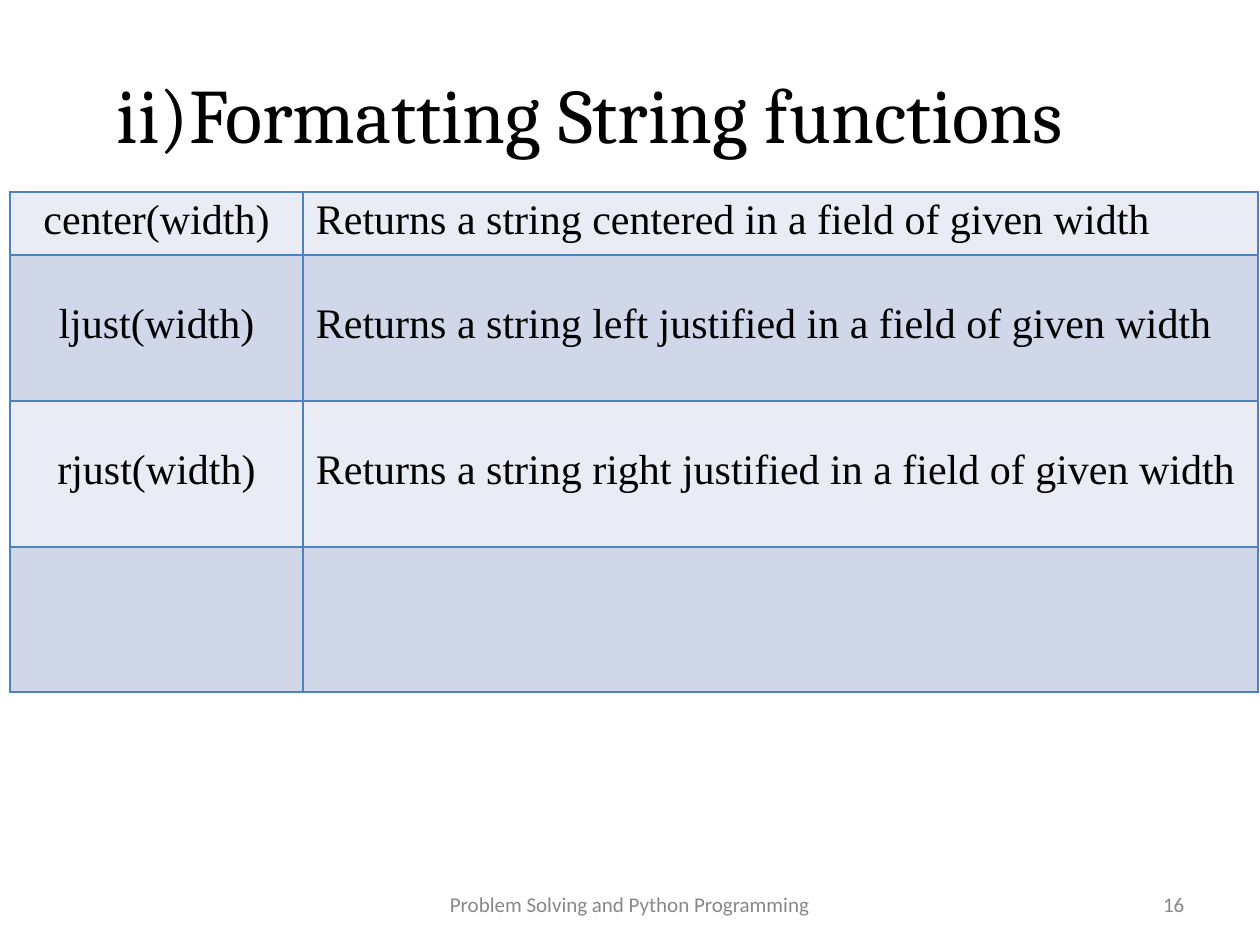
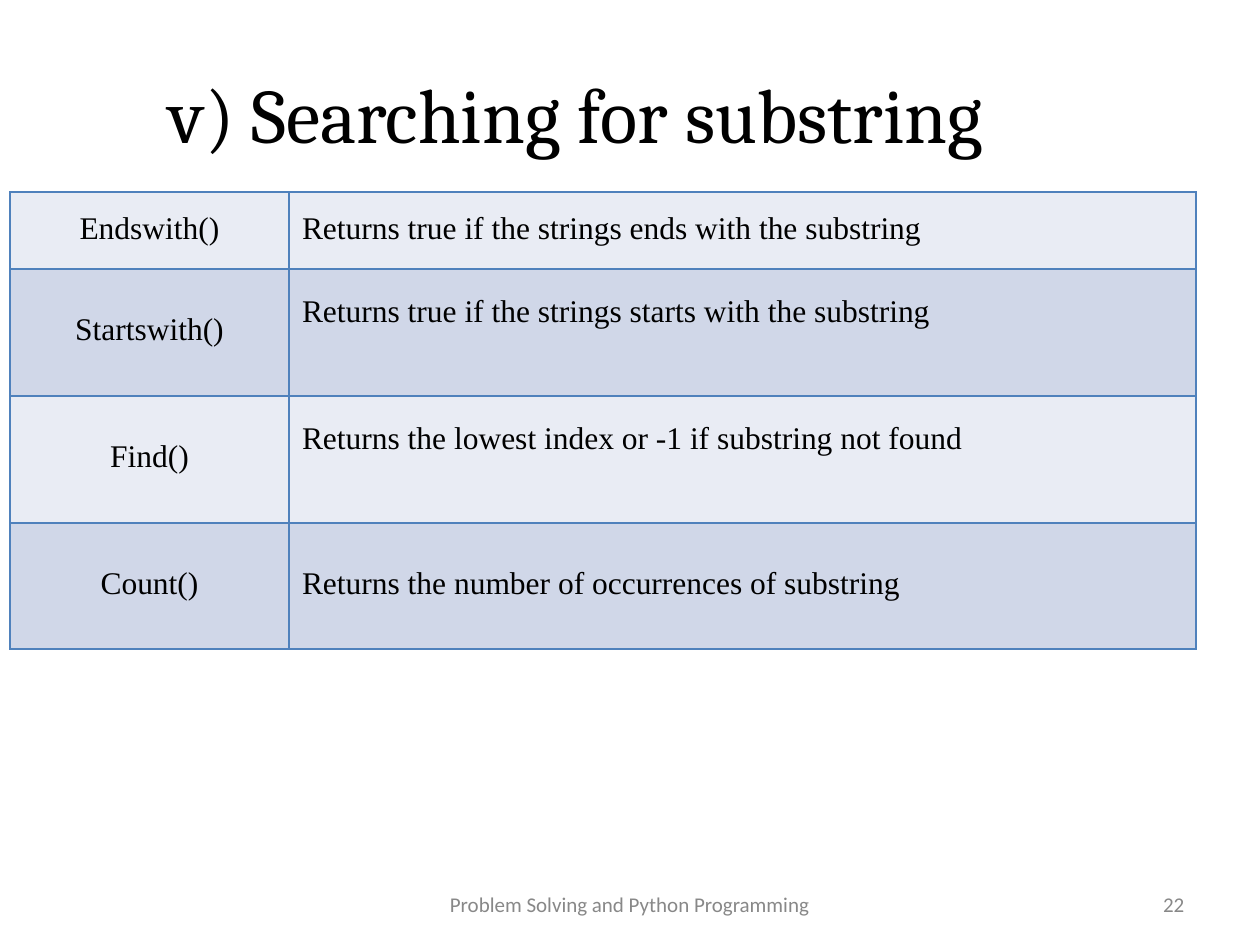
from lxml.etree import SubElement
from pptx import Presentation
from pptx.dml.color import RGBColor
from pptx.enum.text import MSO_ANCHOR, PP_ALIGN
from pptx.oxml.ns import qn
from pptx.util import Emu, Pt

PX_PER_INCH = 126
SLIDE_SIZE = (1260, 945)
BLACK, GREY, BORDER = "000000", "888888", "4F81BC"
BANDS = ("E9ECF4", "D0D7E8")
TITLE_FONT, BODY_FONT, FOOTER_FONT = "Cambria", "Times New Roman", "Calibri"
COURSE = "Problem Solving and Python Programming"
TABLE_ORIGIN = (10, 192)
DESCRIPTION_INDENT = 13

FORMATTING = {
    "title": "ii)Formatting String functions",
    "title_box": (116, 66, 1030, 96),
    "number": "16",
    "widths": (293, 955),
    "heights": (63, 146, 146, 145),
    "size": 24,
    "rows": [
        ("center(width)", 5, "Returns a string centered in a field of given width", 5),
        ("ljust(width)", 46, "Returns a string left justified in a field of given width", 46),
        ("rjust(width)", 46, "Returns a string right justified in a field of given width", 46),
        ("", 0, "", 0),
    ],
}
SEARCHING = {
    "title": "v) Searching for substring",
    "title_box": (168, 66, 922, 96),
    "number": "22",
    "widths": (279, 907),
    "heights": (77, 127, 127, 126),
    "size": 18,
    "rows": [
        ("Endswith()", 19, "Returns true if the strings ends with the substring", 19),
        ("Startswith()", 43, "Returns true if the strings starts with the substring", 25),
        ("Find()", 43, "Returns the lowest index or -1 if substring not found", 25),
        ("Count()", 43, "Returns the number of occurrences of substring", 43),
    ],
}


def px(length):
    """Turn pixels into EMU."""
    return Emu(round(length * 914400 / PX_PER_INCH))


def color(hex_string):
    """Turn a hex string into a colour."""
    return RGBColor.from_string(hex_string)


def write(frame, text, font, size, ink, margins):
    """Put one styled paragraph in a text frame and return it."""
    frame.margin_left, frame.margin_top = map(px, margins)
    frame.margin_right = frame.margin_bottom = 0
    frame.word_wrap = True
    frame.vertical_anchor = MSO_ANCHOR.TOP
    return style(frame, text, font, size, ink)


def style(frame, text, font, size, ink):
    """Set the text of a frame and format its runs."""
    frame.text = text
    paragraph = frame.paragraphs[0]
    for run in paragraph.runs:
        run.font.name = font
        run.font.size = Pt(size)
        run.font.color.rgb = color(ink)
    return paragraph


def add_label(slide, box, text, font, size, ink, margins):
    """Add a text box and return its paragraph."""
    frame = slide.shapes.add_textbox(*map(px, box)).text_frame
    return write(frame, text, font, size, ink, margins)


def add_footer(slide, number):
    """Add the course name and the slide number."""
    for text, box, indent in ((COURSE, (449, 891, 363, 24), 1),
                              (number, (1158, 891, 34, 24), 5)):
        label = add_label(slide, box, text, FOOTER_FONT, 12, GREY, (indent, 0))
        label.line_spacing = 1.03


def add_borders(cell):
    """Draw a thin line on all four sides of a cell."""
    properties = cell._tc.get_or_add_tcPr()
    for side in ("a:lnL", "a:lnR", "a:lnT", "a:lnB"):
        line = SubElement(properties, qn(side), w=str(Pt(1)))
        fill = SubElement(line, qn("a:solidFill"))
        SubElement(fill, qn("a:srgbClr"), val=BORDER)


def fill_cell(cell, text, size, band, indent, top):
    """Give a cell its borders, band colour and text."""
    add_borders(cell)
    cell.fill.solid()
    cell.fill.fore_color.rgb = color(band)
    cell.margin_left, cell.margin_top = px(indent), px(top)
    cell.margin_right = cell.margin_bottom = 0
    cell.vertical_anchor = MSO_ANCHOR.TOP
    return style(cell.text_frame, text, BODY_FONT, size, BLACK)


def add_function_table(slide, origin, topic):
    """Add the banded table of functions and their descriptions."""
    widths, heights = topic["widths"], topic["heights"]
    box = (*origin, sum(widths), sum(heights))
    table = slide.shapes.add_table(len(heights), len(widths), *map(px, box)).table
    table.first_row = table.horz_banding = False
    for column, width in zip(table.columns, widths):
        column.width = px(width)
    for index, (name, name_top, description, description_top) in enumerate(topic["rows"]):
        table.rows[index].height = px(heights[index])
        band = BANDS[index % 2]
        heading = fill_cell(table.cell(index, 0), name, topic["size"], band, 0, name_top)
        heading.alignment = PP_ALIGN.CENTER
        fill_cell(table.cell(index, 1), description, topic["size"], band,
                  DESCRIPTION_INDENT, description_top)


def add_topic_slide(deck, topic):
    """Add a slide with a title, a function table and a footer."""
    slide = deck.slides.add_slide(deck.slide_layouts[6])
    add_label(slide, topic["title_box"], topic["title"], TITLE_FONT, 44, BLACK, (1, 1))
    add_footer(slide, topic["number"])
    add_function_table(slide, TABLE_ORIGIN, topic)


def main():
    """Build and save the deck."""
    deck = Presentation()
    deck.slide_width, deck.slide_height = map(px, SLIDE_SIZE)
    for topic in (FORMATTING, SEARCHING):
        add_topic_slide(deck, topic)
    deck.save("out.pptx")


if __name__ == "__main__":
    main()
